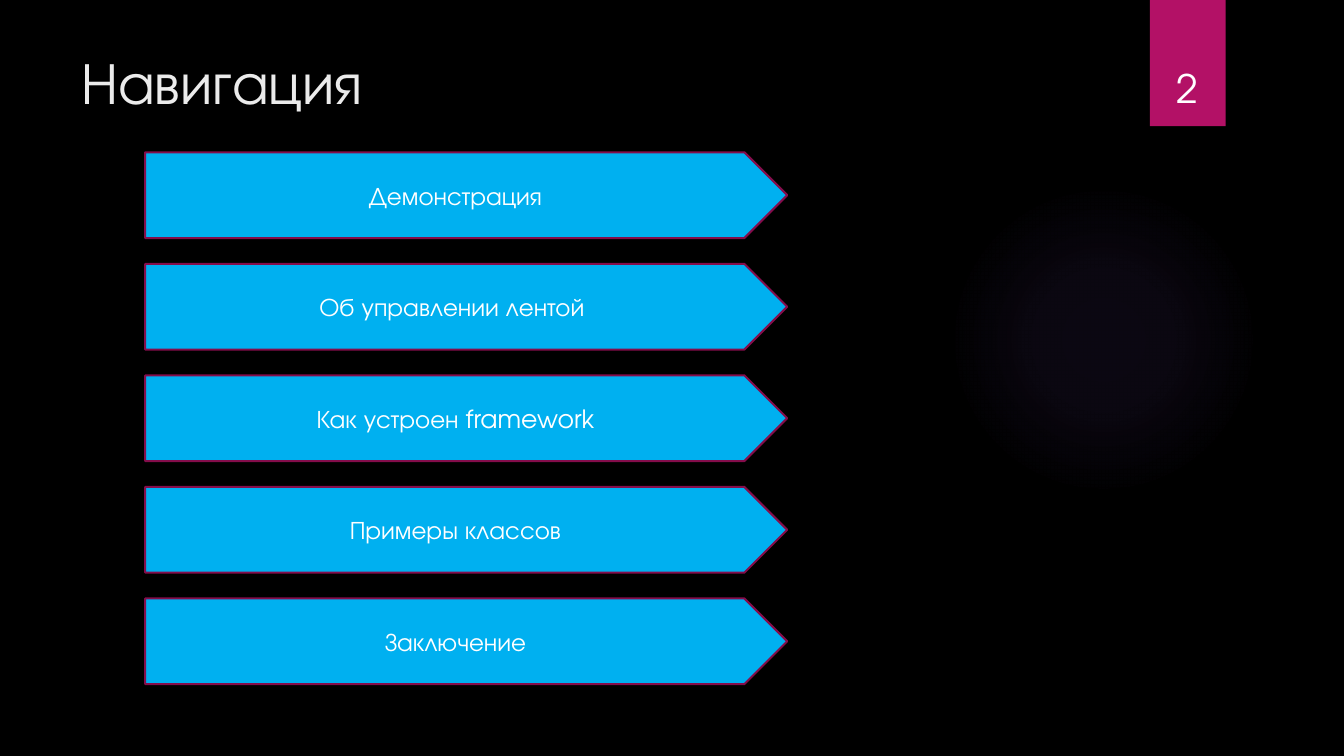
import pptx
import pptx.dml.color
import pptx.enum.shapes
import pptx.enum.text
import pptx.oxml
import pptx.oxml.ns
import pptx.util

Cm = pptx.util.Cm
Pt = pptx.util.Pt
SHAPES = pptx.enum.shapes.MSO_SHAPE
ALIGN = pptx.enum.text.PP_ALIGN
ANCHOR = pptx.enum.text.MSO_ANCHOR

FONT = "TeX Gyre Adventor"
COLORS = {
    "background": "000000",
    "glow": "9B6BF2",
    "tab": "B31166",
    "title": "EBEBEB",
    "white": "FFFFFF",
    "arrow": "00B0F0",
    "arrow_line": "840D4B",
}
SECTIONS = [
    "Демонстрация",
    "Об управлении лентой ",
    "Как устроен framework",
    "Примеры классов",
    "Заключение",
]
ARROW_TOP = 3.84
ARROW_PITCH = 2.81
GLOW_STOPS = [(0, 7), (36, 6), (69, 0)]  # position and opacity, percent


def color(name):
    return pptx.dml.color.RGBColor.from_string(COLORS[name])


def write_text(shape, text, size, color_name, align, anchor):
    frame = shape.text_frame
    frame.word_wrap = True
    frame.vertical_anchor = anchor
    paragraph = frame.paragraphs[0]
    paragraph.text = text
    paragraph.alignment = align
    font_format = {"name": FONT, "size": Pt(size)}
    for attribute, value in font_format.items():
        setattr(paragraph.font, attribute, value)
    paragraph.font.color.rgb = color(color_name)


def add_text(slide, box, text, size, color_name, align, anchor):
    shape = slide.shapes.add_textbox(*map(Cm, box))
    write_text(shape, text, size, color_name, align, anchor)


def add_block(slide, kind, box, fill):
    """Add a flat preset shape without outline."""
    shape = slide.shapes.add_shape(kind, *map(Cm, box))
    shape.shadow.inherit = False
    shape.fill.solid()
    shape.fill.fore_color.rgb = color(fill)
    shape.line.fill.background()
    return shape


def add_glow(slide, box):
    """Add a circle that fades out from its centre."""
    shape = add_block(slide, SHAPES.OVAL, box, "glow")
    stops = "".join(
        f'<a:gs pos="{position * 1000}"><a:srgbClr val="{COLORS["glow"]}">'
        f'<a:alpha val="{opacity * 1000}"/></a:srgbClr></a:gs>'
        for position, opacity in GLOW_STOPS
    )
    gradient = pptx.oxml.parse_xml(
        f'<a:gradFill {pptx.oxml.ns.nsdecls("a")}><a:gsLst>{stops}</a:gsLst>'
        '<a:path path="circle"><a:fillToRect l="50000" t="50000" r="50000" b="50000"/>'
        "</a:path></a:gradFill>"
    )
    properties = shape.element.spPr
    properties.replace(properties.find(pptx.oxml.ns.qn("a:solidFill")), gradient)


def add_arrow(slide, box, text):
    shape = add_block(slide, SHAPES.PENTAGON, box, "arrow")
    shape.line.color.rgb = color("arrow_line")
    shape.line.width = Pt(1.5)
    write_text(shape, text, 18, "white", ALIGN.CENTER, ANCHOR.MIDDLE)


def main():
    presentation = pptx.Presentation()
    presentation.slide_width = Cm(33.87)
    presentation.slide_height = Cm(19.05)
    slide = presentation.slides.add_slide(presentation.slide_layouts[6])
    slide.background.fill.solid()
    slide.background.fill.fore_color.rgb = color("background")

    add_glow(slide, (23.9, 4.65, 7.82, 7.82))
    add_block(slide, SHAPES.RECTANGLE, (28.98, 0, 1.91, 3.18), "tab")
    add_text(slide, (1.8, 1.02, 26.14, 3.89), "Навигация", 42, "title",
             ALIGN.LEFT, ANCHOR.TOP)
    add_text(slide, (28.75, 0.81, 2.34, 2.13), "2", 28, "white",
             ALIGN.CENTER, ANCHOR.BOTTOM)
    for index, section in enumerate(SECTIONS):
        top = ARROW_TOP + index * ARROW_PITCH
        add_arrow(slide, (3.66, top, 16.18, 2.16), section)

    presentation.save("out.pptx")


if __name__ == "__main__":
    main()
